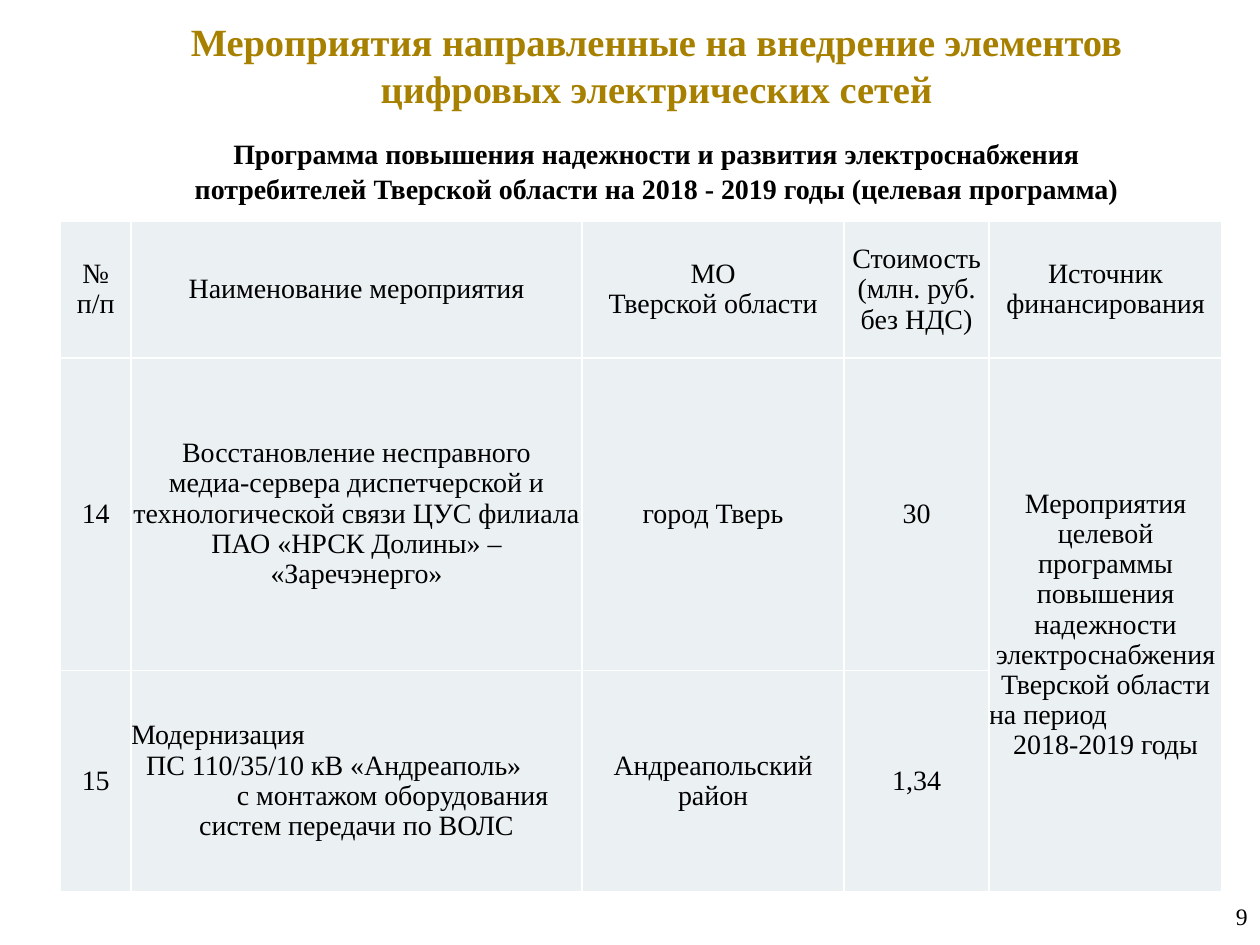
"""Build the slide with the programme table for digital power grids."""
from lxml.etree import SubElement as Sub
from pptx import Presentation
from pptx.dml.color import RGBColor as RGB
from pptx.enum.text import MSO_ANCHOR as Anchor, PP_ALIGN as Align
from pptx.oxml.ns import qn
from pptx.util import Inches, Pt

HUES = {"gold": "A88000", "ink": "000000", "cell": "EBF0F2", "rule": "FFFFFF"}


def style(para, size, hue="ink", bold=False, align=Align.CENTER):
    para.alignment = align
    for run in para.runs:
        font = run.font
        font.name, font.size, font.bold = "Times New Roman", Pt(size), bold
        font.color.rgb = RGB.from_string(HUES[hue])


def edge(cell):
    props = cell._tc.get_or_add_tcPr()
    for side in ("lnL", "lnR", "lnT", "lnB"):
        line = Sub(props, qn(f"a:{side}"), w=str(Pt(1)))
        fill = Sub(line, qn("a:solidFill"))
        Sub(fill, qn("a:srgbClr"), val=HUES["rule"])


deck = Presentation()
deck.slide_width, deck.slide_height = Inches(10), Inches(7.5)
slide = deck.slides.add_slide(deck.slide_layouts[5])

title = slide.shapes.title
title.left, title.top = Inches(1.41), Inches(0.08)
title.width, title.height = Inches(7.6), Inches(1.6)
frame = title.text_frame
frame.word_wrap, frame.vertical_anchor = True, Anchor.TOP
frame.text = (
    "Мероприятия направленные на внедрение элементов цифровых электрических сетей\n"
    "Программа повышения надежности и развития электроснабжения "
    "потребителей Тверской области на 2018 - 2019 годы (целевая программа)"
)
head, sub = frame.paragraphs
style(head, 22, "gold", True)
style(sub, 16, bold=True)
head.line_spacing = sub.line_spacing = 1.03
sub.space_before = Pt(14)

rows = [
    ["№ п/п", "Наименование мероприятия", "МО\nТверской области",
     "Стоимость (млн. руб. без НДС)", "Источник финансирования"],
    ["14",
     "Восстановление несправного\nмедиа-сервера диспетчерской и технологической "
     "связи ЦУС филиала ПАО «НРСК Долины» – «Заречэнерго»",
     "город Тверь", "30",
     "Мероприятия целевой программы повышения надежности электроснабжения "
     "Тверской области\nна период\n2018-2019 годы"],
    ["15",
     "Модернизация\nПС 110/35/10 кВ «Андреаполь»\nс монтажом оборудования\n"
     "систем передачи по ВОЛС",
     "Андреапольский район", "1,34", ""],
]
wide = [0.56, 3.58, 2.08, 1.15, 1.85]
high = [1.08, 2.48, 1.76]
table = slide.shapes.add_table(
    len(high), len(wide), Inches(0.48), Inches(1.76),
    Inches(sum(wide)), Inches(sum(high))).table
table.first_row = table.horz_banding = False
for col, size in zip(table.columns, wide):
    col.width = Inches(size)
for row, size in zip(table.rows, high):
    row.height = Inches(size)

for r, row in enumerate(rows):
    for c, text in enumerate(row):
        cell = table.cell(r, c)
        cell.text = text
        cell.vertical_anchor = Anchor.MIDDLE
        cell.margin_left = cell.margin_right = 0
        cell.margin_top = cell.margin_bottom = 0
        edge(cell)
        cell.fill.solid()
        cell.fill.fore_color.rgb = RGB.from_string(HUES["cell"])
        for para in cell.text_frame.paragraphs:
            style(para, 16)
            para.line_spacing = 0.97
table.cell(1, 4).merge(table.cell(2, 4))

table.cell(1, 4).text_frame.paragraphs[1].alignment = Align.LEFT
work = table.cell(2, 1).text_frame.paragraphs
for para, shift in zip(work, (0, 0.12, 0.84)):
    para.alignment = Align.LEFT
    para._p.get_or_add_pPr().set("marL", str(Inches(shift)))

page = slide.shapes.add_textbox(
    Inches(8.03), Inches(7.11), Inches(1.97), Inches(0.39)).text_frame
page.word_wrap = True
page.text = "9"
style(page.paragraphs[0], 13.5, align=Align.RIGHT)

deck.save("out.pptx")
